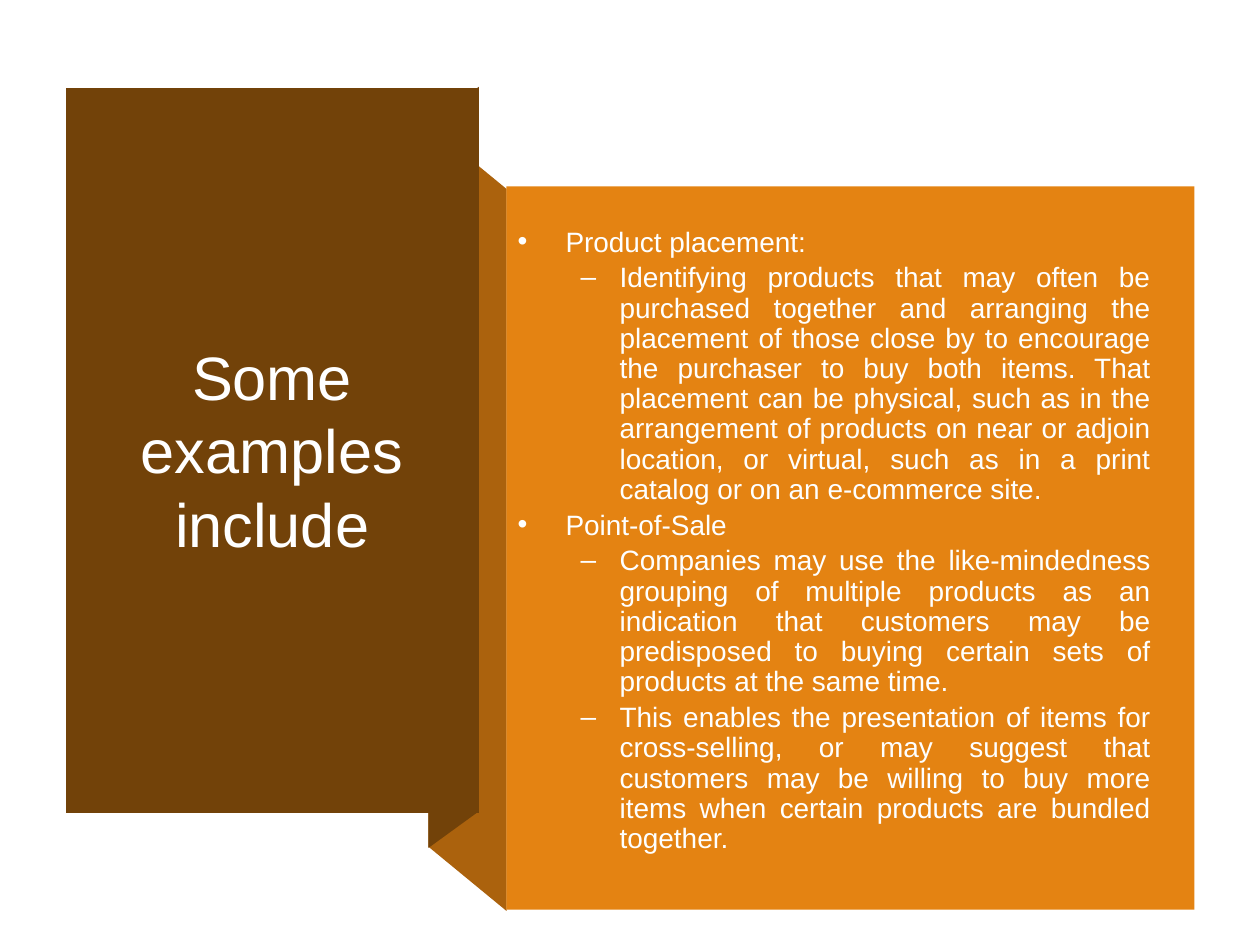
from lxml import etree
from pptx import Presentation
from pptx.dml.color import RGBColor
from pptx.enum.shapes import MSO_SHAPE
from pptx.enum.text import MSO_ANCHOR, MSO_AUTO_SIZE, PP_ALIGN
from pptx.oxml.ns import qn
from pptx.util import Inches, Pt

RECT = MSO_SHAPE.RECTANGLE
MIDDLE = MSO_ANCHOR.MIDDLE
FIXED = MSO_AUTO_SIZE.NONE
CENTER, JUSTIFY = PP_ALIGN.CENTER, PP_ALIGN.JUSTIFY
BROWN, FOLD, ORANGE = "724209", "AB620D", "E48312"


def paint(shape, hue):
    shape.shadow.inherit = False
    shape.fill.solid()
    shape.fill.fore_color.rgb = RGBColor.from_string(hue)
    shape.line.fill.background()


def style(para, size, hue, align):
    para.alignment = align
    for run in para.runs:
        run.font.name = "Arial"
        run.font.size = Pt(size)
        run.font.color.rgb = RGBColor.from_string(hue)


deck = Presentation()
deck.slide_width, deck.slide_height = Inches(10), Inches(7.5)
slide = deck.slides.add_slide(deck.slide_layouts[5])
shapes = slide.shapes

# Vertical edges shared by the ribbon's panels and folds
left, tuck, edge, panel = 0.52, 3.4, 3.8, 4.02
top, tall = 0.7, 5.75

ribbon = [
    (FOLD, [(panel, 7.23), (tuck, 6.72), (tuck, 0.99), (panel, 1.5)]),
    (BROWN, [(edge, 6.44), (tuck, 6.73), (tuck, 0.98), (edge, 0.69)]),
    (BROWN, [(left, top), (edge, top), (edge, top + tall), (left, top + tall)]),
]
for hue, points in ribbon:
    pen = shapes.build_freeform(Inches(points[0][0]), Inches(points[0][1]))
    pen.add_line_segments([(Inches(x), Inches(y)) for x, y in points[1:]])
    paint(pen.convert_to_shape(), hue)

card = shapes.add_shape(RECT, Inches(panel), Inches(1.48), Inches(5.46), Inches(5.74))
paint(card, ORANGE)

title = shapes.title
title.left, title.top = Inches(0.77), Inches(1.07)
title.width, title.height = Inches(2.78), Inches(4.99)
title.element.getparent().append(title.element)
frame = title.text_frame
frame.word_wrap, frame.auto_size = True, FIXED
frame.vertical_anchor = MIDDLE
frame.paragraphs[0].add_run().text = "Some examples include"
style(frame.paragraphs[0], 35, "FFFFFF", CENTER)

# Each level: bullet, left margin, hanging indent
levels = [("•", 0.38, 0.38), ("–", 0.81, 0.31)]
items = [
    (0, "Product placement:"),
    (1, "Identifying products that may often be purchased together and "
        "arranging the placement of those close by to encourage the purchaser "
        "to buy both items. That placement can be physical, such as in the "
        "arrangement of products on near or adjoin location, or virtual, such "
        "as in a print catalog or on an e-commerce site."),
    (0, "Point-of-Sale"),
    (1, "Companies may use the like-mindedness grouping of multiple products "
        "as an indication that customers may be predisposed to buying certain "
        "sets of products at the same time."),
    (1, "This enables the presentation of items for cross-selling, or may "
        "suggest that customers may be willing to buy more items when certain "
        "products are bundled together."),
]
body = shapes.add_textbox(Inches(4.01), Inches(1.67), Inches(5.22), Inches(5.25))
frame = body.text_frame
frame.word_wrap, frame.auto_size = True, FIXED
frame.vertical_anchor = MIDDLE
for i, (level, words) in enumerate(items):
    para = frame.add_paragraph() if i else frame.paragraphs[0]
    mark, margin, hang = levels[level]
    props = para._p.get_or_add_pPr()
    props.set("marL", str(Inches(margin)))
    props.set("indent", str(-Inches(hang)))
    etree.SubElement(props, qn("a:buFont"), typeface="Arial")
    etree.SubElement(props, qn("a:buChar"), char=mark)
    para.level = level
    para.line_spacing = 0.9
    if i:
        para.space_before = Pt(3.2)
    para.add_run().text = words
    style(para, 16, "FEFFFF", JUSTIFY)

deck.save("out.pptx")
